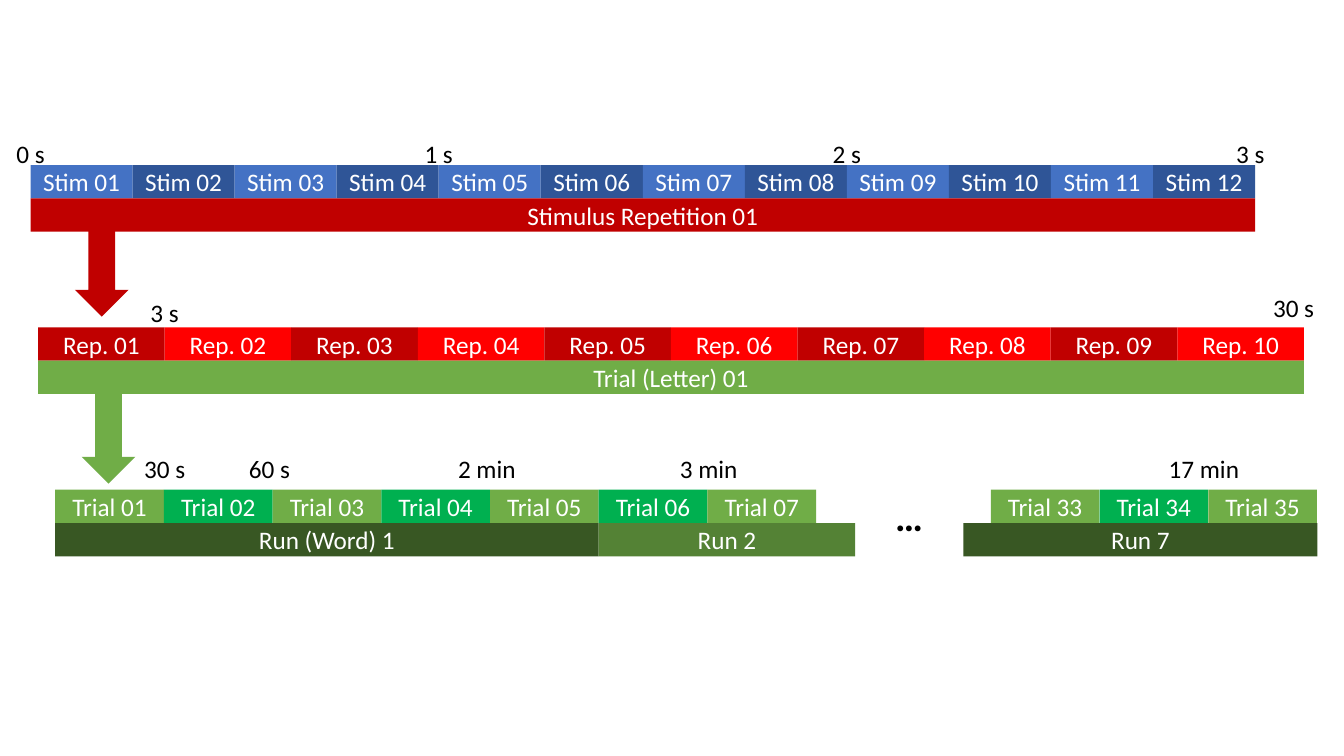
"""Build a timing diagram of stimuli, repetitions, trials and runs."""
from pptx import Presentation
from pptx.dml.color import RGBColor
from pptx.enum import shapes, text
from pptx.util import Cm, Pt

FONT = "Calibri"
WHITE, BLACK = "FFFFFF", "000000"
RED, GREEN, DARK_GREEN = "C00000", "70AD47", "385723"
STIM_FILLS = ("4472C4", "2F5597")
REP_FILLS = (RED, "FF0000")
TRIAL_FILLS = (GREEN, "00B050")
BAR_HEIGHT = 0.84
STIM_LEFT, STIM_TOP, STIM_WIDTH = 0.77, 4.16, 30.86 / 12
REP_LEFT, REP_TOP, REP_WIDTH = 0.96, 8.25, 3.19
TRIAL_LEFT, TRIAL_TOP, TRIAL_WIDTH = 1.39, 12.34, 2.74
LATE_TRIAL_LEFT = 24.97


def rgb(value):
    """Turn a hex string into a colour."""
    return RGBColor.from_string(value)


def write(frame, wording, color, size=18, bold=False):
    """Put one centred run into a text frame."""
    paragraph = frame.paragraphs[0]
    paragraph.alignment = text.PP_ALIGN.CENTER
    run = paragraph.add_run()
    run.text = wording
    run.font.name = FONT
    run.font.size = Pt(size)
    run.font.bold = bold
    run.font.color.rgb = rgb(color)


def add_block(slide, kind, left, top, width, height, fill):
    """Add a flat filled shape without outline."""
    shape = slide.shapes.add_shape(kind, Cm(left), Cm(top), Cm(width), Cm(height))
    shape.shadow.inherit = False
    shape.fill.solid()
    shape.fill.fore_color.rgb = rgb(fill)
    shape.line.fill.background()
    return shape


def add_bar(slide, wording, left, top, width, fill):
    """Add a rectangle with a white caption."""
    rectangle = shapes.MSO_SHAPE.RECTANGLE
    shape = add_block(slide, rectangle, left, top, width, BAR_HEIGHT, fill)
    shape.text_frame.vertical_anchor = text.MSO_ANCHOR.MIDDLE
    write(shape.text_frame, wording, WHITE)


def add_sequence(slide, prefix, numbers, left, top, width, fills):
    """Add adjoining numbered bars in alternating fills."""
    for index, number in enumerate(numbers):
        add_bar(slide, f"{prefix} {number:02d}", left + index * width, top,
                width, fills[index % 2])


def add_arrow(slide, left, top, fill):
    """Add an arrow that leads down to the next level."""
    add_block(slide, shapes.MSO_SHAPE.DOWN_ARROW, left, top, 1.35, 2.72, fill)


def add_label(slide, wording, center, top, width, height=1.02, size=18, bold=False):
    """Add an unwrapped black text centred on a position."""
    box = slide.shapes.add_textbox(Cm(center - width / 2), Cm(top), Cm(width), Cm(height))
    box.text_frame.word_wrap = False
    box.text_frame.auto_size = text.MSO_AUTO_SIZE.SHAPE_TO_FIT_TEXT
    write(box.text_frame, wording, BLACK, size, bold)


def add_times(slide, top, times):
    """Add time labels along one height."""
    for wording, center in times:
        add_label(slide, wording, center, top, 0.22 + 0.36 * len(wording))


def add_repetition_level(slide):
    """Add the stimuli that make up one repetition."""
    add_sequence(slide, "Stim", range(1, 13), STIM_LEFT, STIM_TOP, STIM_WIDTH, STIM_FILLS)
    seconds = [(f"{n} s", STIM_LEFT + 4 * n * STIM_WIDTH) for n in range(3)]
    add_times(slide, 3.35, seconds + [("3 s", 31.51)])
    add_bar(slide, "Stimulus Repetition 01", STIM_LEFT, STIM_TOP + BAR_HEIGHT,
            12 * STIM_WIDTH, RED)
    add_arrow(slide, 1.89, 5.26, RED)


def add_trial_level(slide):
    """Add the repetitions that make up one trial."""
    add_sequence(slide, "Rep.", range(1, 11), REP_LEFT, REP_TOP, REP_WIDTH, REP_FILLS)
    add_bar(slide, "Trial (Letter) 01", REP_LEFT, REP_TOP + BAR_HEIGHT,
            10 * REP_WIDTH, GREEN)
    add_times(slide, 7.37, [("3 s", REP_LEFT + REP_WIDTH)])
    add_times(slide, 7.24, [("30 s", 32.6)])
    add_arrow(slide, 2.06, 9.47, GREEN)


def add_run_level(slide):
    """Add the trials that make up the runs."""
    for numbers, left in ((range(1, 8), TRIAL_LEFT), (range(33, 36), LATE_TRIAL_LEFT)):
        add_sequence(slide, "Trial", numbers, left, TRIAL_TOP, TRIAL_WIDTH, TRIAL_FILLS)
    first_run = 5 * TRIAL_WIDTH
    for wording, left, width, fill in (
        ("Run (Word) 1", TRIAL_LEFT, first_run, DARK_GREEN),
        ("Run 2", TRIAL_LEFT + first_run, 6.46, "548235"),
        ("Run 7", 24.28, 8.92, DARK_GREEN),
    ):
        add_bar(slide, wording, left, TRIAL_TOP + BAR_HEIGHT, width, fill)
    add_label(slide, "…", 22.91, 12.27, 1.22, 1.45, 28, True)
    add_times(slide, 11.3, [("30 s", 4.15), ("60 s", 6.79), ("2 min", 12.27),
                            ("3 min", 17.86), ("17 min", 30.34)])


def main():
    """Build and save the presentation."""
    presentation = Presentation()
    presentation.slide_width = Cm(33.87)
    presentation.slide_height = Cm(19.05)
    slide = presentation.slides.add_slide(presentation.slide_layouts[6])
    add_repetition_level(slide)
    add_trial_level(slide)
    add_run_level(slide)
    presentation.save("out.pptx")


main()
